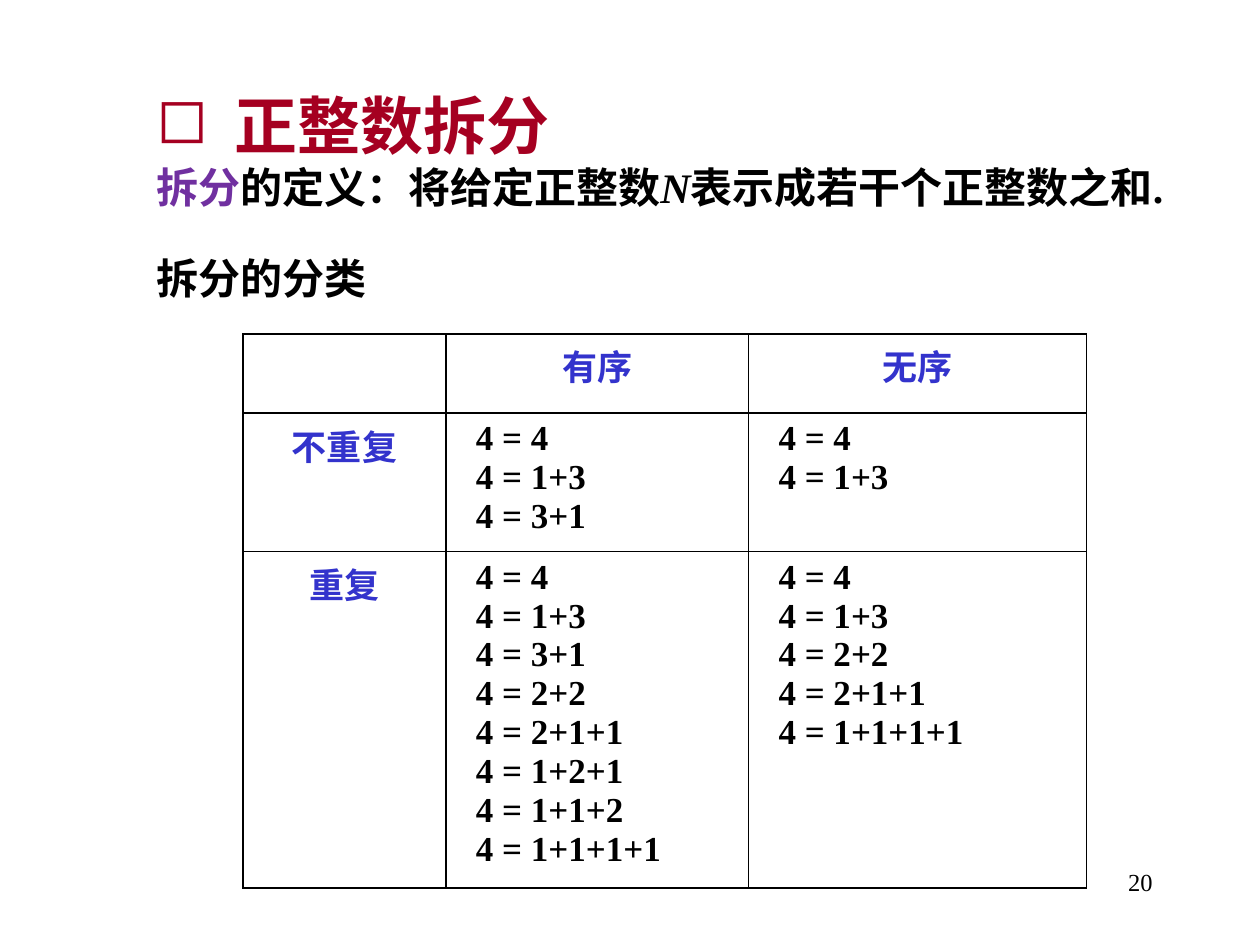
from lxml.etree import SubElement
from pptx import Presentation
from pptx.dml.color import RGBColor
from pptx.enum.text import MSO_ANCHOR, MSO_AUTO_SIZE, PP_ALIGN
from pptx.oxml.ns import qn
from pptx.util import Cm, Pt

SERIF, HAN = "Times New Roman", "Noto Sans CJK SC"
BLACK, RED, PURPLE, BLUE = "000000", "A50021", "7030A0", "3333CC"

# Content
TITLE = "正整数拆分"
DEFINITION = [
    ("拆分", {"color": PURPLE}),
    ("的定义：将给定正整数", {}),
    ("N", {"italic": True}),
    ("表示成若干个正整数之和.", {}),
]
SUBHEADING = "拆分的分类"
HEADERS = ["", "有序", "无序"]
PARTITIONS = [
    ("不重复", ["4", "1+3", "3+1"], ["4", "1+3"]),
    ("重复",
     ["4", "1+3", "3+1", "2+2", "2+1+1", "1+2+1", "1+1+2", "1+1+1+1"],
     ["4", "1+3", "2+2", "2+1+1", "1+1+1+1"]),
]
PAGE = "20"
COL_WIDTHS = [4.09, 6.1, 6.81]
ROW_HEIGHTS = [1.6, 2.79, 6.78]


def rgb(hex_color):
    return RGBColor.from_string(hex_color)


def add_text(p, text, size=24, color=BLACK, font=SERIF, bold=True, italic=False):
    r = p.add_run()
    r.text = text
    f = r.font
    f.size, f.bold, f.italic, f.name = Pt(size), bold, italic, font
    f.color.rgb = rgb(color)
    SubElement(r._r.get_or_add_rPr(), qn("a:ea"), typeface=HAN)


def set_indent(p, left=0, first=0, bullet=None):
    pPr = p._p.get_or_add_pPr()
    pPr.set("marL", str(Cm(left)))
    pPr.set("indent", str(Cm(first)))
    if bullet:
        SubElement(pPr, qn("a:buChar"), char=bullet)
    else:
        SubElement(pPr, qn("a:buNone"))


def place(s, left, top, width, height, anchor):
    s.left, s.top, s.width, s.height = (Cm(v) for v in (left, top, width, height))
    tf = s.text_frame
    tf.word_wrap = True
    tf.auto_size = MSO_AUTO_SIZE.NONE
    tf.vertical_anchor = anchor
    return tf


def set_borders(cell):
    tcPr = cell._tc.get_or_add_tcPr()
    for i, side in enumerate(("a:lnL", "a:lnR", "a:lnT", "a:lnB")):
        ln = tcPr.makeelement(qn(side), {"w": str(Pt(1))})
        fill = SubElement(ln, qn("a:solidFill"))
        SubElement(fill, qn("a:srgbClr"), val=BLACK)
        tcPr.insert(i, ln)


def fill_cell(cell, content):
    cell.fill.background()
    set_borders(cell)
    tf = cell.text_frame
    if isinstance(content, str):
        p = tf.paragraphs[0]
        p.alignment = PP_ALIGN.CENTER
        if content:
            add_text(p, content, size=20, color=BLUE, font=HAN)
        return
    for i, total in enumerate(content):
        p = tf.add_paragraph() if i else tf.paragraphs[0]
        set_indent(p, left=0.35)
        add_text(p, f"4 = {total}", size=20)


prs = Presentation()
prs.slide_width, prs.slide_height = Cm(25.4), Cm(19.05)
slide = prs.slides.add_slide(prs.slide_layouts[1])

# Page number
s = slide.shapes.add_textbox(0, 0, 0, 0)
p = place(s, 18.21, 17.35, 5.28, 1.27, MSO_ANCHOR.TOP).paragraphs[0]
p.alignment = PP_ALIGN.RIGHT
add_text(p, PAGE, size=14, bold=False)

# Table of partitions
tbl = slide.shapes.add_table(3, 3, Cm(4.9), Cm(6.73), Cm(sum(COL_WIDTHS)),
                             Cm(sum(ROW_HEIGHTS))).table
tbl.first_row = tbl.horz_banding = False
for col, width in zip(tbl.columns, COL_WIDTHS):
    col.width = Cm(width)
for row, height, contents in zip(tbl.rows, ROW_HEIGHTS, [HEADERS, *PARTITIONS]):
    row.height = Cm(height)
    for cell, content in zip(row.cells, contents):
        fill_cell(cell, content)

# Title
p = place(slide.shapes.title, 2.9, 0.91, 21.59, 3.18, MSO_ANCHOR.MIDDLE).paragraphs[0]
p.alignment = PP_ALIGN.LEFT
set_indent(p, left=1.57, first=-1.57, bullet="◻")
add_text(p, TITLE, size=36, color=RED)

# Definition and subheading
tf = place(slide.placeholders[1], 2.9, 3.53, 21.21, 2.29, MSO_ANCHOR.MIDDLE)
tf.margin_right = 0
p = tf.paragraphs[0]
p.space_before = Pt(0)
set_indent(p)
for text, style in DEFINITION:
    add_text(p, text, **style)
p = tf.add_paragraph()
p.space_before = Pt(23)
set_indent(p)
add_text(p, SUBHEADING)

prs.save("out.pptx")
